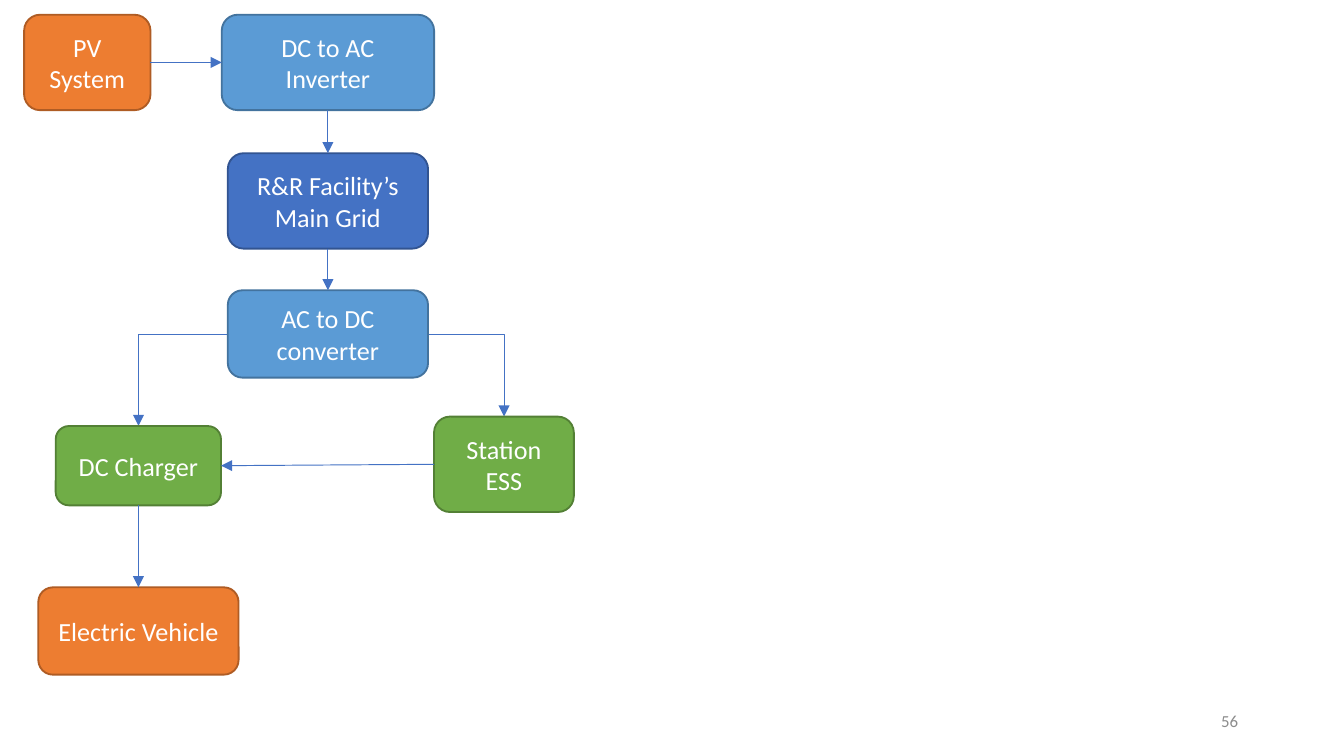
import pptx
import pptx.dml.color
import pptx.enum.shapes
import pptx.enum.text
import pptx.oxml
import pptx.oxml.ns
import pptx.util
from pptx.util import Inches

CONNECTOR = pptx.enum.shapes.MSO_CONNECTOR
ALIGN = pptx.enum.text.PP_ALIGN
NAMESPACE = pptx.oxml.ns.nsdecls("a")
TOP, LEFT, BOTTOM, RIGHT = range(4)  # connection sites of a rounded rectangle


def paint(color_format, color):
    color_format.rgb = pptx.dml.color.RGBColor.from_string(color)


def add_arrow(kind, start, end, ends=("tailEnd",)):
    """Add a thin blue connector with a triangle at each of the named ends."""
    arrow = slide.shapes.add_connector(kind, *map(Inches, start + end))
    paint(arrow.line.color, "4472C4")
    arrow.line.width = pptx.util.Pt(0.5)
    line = arrow.line._get_or_add_ln()
    for name in ends:
        line.append(pptx.oxml.parse_xml(f'<a:{name} {NAMESPACE} type="triangle"/>'))
    arrow._element.spPr.append(pptx.oxml.parse_xml(f"<a:effectLst {NAMESPACE}/>"))
    return arrow


deck = pptx.Presentation()
deck.slide_width = Inches(10)
deck.slide_height = deck.slide_width * 9 // 16
slide = deck.slides.add_slide(deck.slide_layouts[6])

# Centre lines of the four columns
SOLAR_X, CHARGER_X, GRID_X, STORAGE_X = 0.65, 1.03, 2.44, 3.75
CHARGER_Y, STORAGE_Y, BEND_Y = 3.17, 3.10, 2.49

# Three-part line from the charger up behind the converter and down to the
# storage: an elbow laid out upright, then turned a quarter about its centre.
span_x = STORAGE_X - CHARGER_X
drop = CHARGER_Y - STORAGE_Y
center_x = (CHARGER_X + STORAGE_X) / 2
center_y = (CHARGER_Y + STORAGE_Y) / 2
elbow = add_arrow(CONNECTOR.ELBOW,
                  (center_x + drop / 2, center_y + span_x / 2),
                  (center_x - drop / 2, center_y - span_x / 2),
                  ("headEnd", "tailEnd"))
elbow._element.spPr.find(pptx.oxml.ns.qn("a:xfrm")).set("rot", str(90 * 60000))
bend = round((CHARGER_Y - BEND_Y) / drop * 100000)
adjustments = elbow._element.spPr.find(".//" + pptx.oxml.ns.qn("a:avLst"))
adjustments.append(pptx.oxml.parse_xml(
    f'<a:gd {NAMESPACE} name="adj1" fmla="val {bend}"/>'))

ORANGE = ("ED7D31", "AF5C24")
SKY = ("5B9BD5", "43739E")
BLUE = ("4472C4", "325491")
GREEN = ("70AD47", "538035")
steps = [  # text, colours, centre x, top, width, height
    ("PV System", ORANGE, SOLAR_X, 0.11, 0.94, 0.71),
    ("DC to AC Inverter", SKY, GRID_X, 0.11, 1.58, 0.71),
    ("R&R Facility’s Main Grid", BLUE, GRID_X, 1.14, 1.49, 0.71),
    ("AC to DC converter", SKY, GRID_X, 2.16, 1.49, 0.65),
    ("Station ESS", GREEN, STORAGE_X, STORAGE_Y, 1.04, 0.71),
    ("DC Charger", GREEN, CHARGER_X, CHARGER_Y, 1.23, 0.59),
    ("Electric Vehicle", ORANGE, CHARGER_X, 4.37, 1.49, 0.65),
]
boxes = []
for text, (fill, outline), middle, top, width, height in steps:
    box = slide.shapes.add_shape(
        pptx.enum.shapes.MSO_SHAPE.ROUNDED_RECTANGLE,
        Inches(middle - width / 2), Inches(top), Inches(width), Inches(height))
    box.shadow.inherit = False
    box.fill.solid()
    paint(box.fill.fore_color, fill)
    paint(box.line.color, outline)
    box.line.width = pptx.util.Pt(1)
    box.text_frame.text = text
    box.text_frame.word_wrap = True
    box.text_frame.vertical_anchor = pptx.enum.text.MSO_ANCHOR.MIDDLE
    para = box.text_frame.paragraphs[0]
    para.alignment = ALIGN.CENTER
    font = para.runs[0].font
    font.name, font.size = "Calibri", pptx.util.Pt(14)
    paint(font.color, "FFFFFF")
    boxes.append(box)

solar, inverter, grid, converter, storage, charger, vehicle = boxes
for source, source_site, target, target_site in [
    (solar, RIGHT, inverter, LEFT),
    (inverter, BOTTOM, grid, TOP),
    (grid, BOTTOM, converter, TOP),
    (storage, LEFT, charger, RIGHT),
    (charger, BOTTOM, vehicle, TOP),
]:
    arrow = add_arrow(CONNECTOR.STRAIGHT, (0, 0), (1, 1))
    arrow.begin_connect(source, source_site)
    arrow.end_connect(target, target_site)

number = slide.shapes.add_textbox(*map(Inches, (7.06, 5.21, 2.25, 0.3)))
number.text_frame.text = "56"
number.text_frame.word_wrap = True
number.text_frame.vertical_anchor = pptx.enum.text.MSO_ANCHOR.MIDDLE
para = number.text_frame.paragraphs[0]
para.alignment = ALIGN.RIGHT
font = para.runs[0].font
font.name, font.size = "Calibri", pptx.util.Pt(9)
paint(font.color, "8C8C8C")

deck.save("out.pptx")
